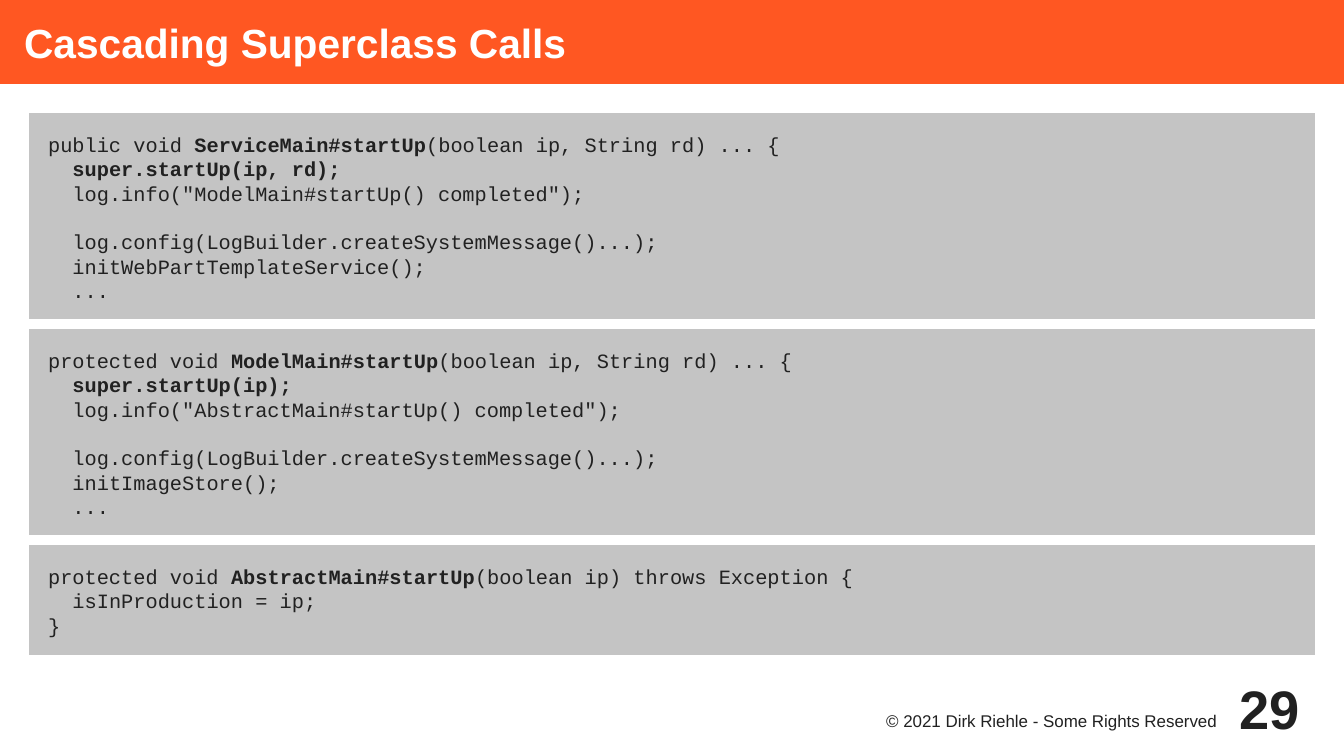
from pptx import Presentation
from pptx.dml.color import RGBColor
from pptx.enum.shapes import MSO_SHAPE as Shape
from pptx.enum.text import MSO_ANCHOR as Anchor, MSO_AUTO_SIZE as AutoSize, PP_ALIGN as Align
from pptx.util import Pt

INK = "212121"
LINE_HEIGHT = 14.4
INDENT = 14.4


def color(hex_code):
    return RGBColor.from_string(hex_code)


def write(frame, lines, size=12, font="Arial", ink=INK, bold=False, align=Align.LEFT,
          anchor=Anchor.TOP, margins=(0, 0, 0, 0), line_height=None):
    frame.word_wrap = True
    frame.auto_size = AutoSize.NONE
    frame.vertical_anchor = anchor
    (frame.margin_left, frame.margin_top,
     frame.margin_right, frame.margin_bottom) = map(Pt, margins)
    for number, (indent, gap, pieces) in enumerate(lines):
        paragraph = frame.add_paragraph() if number else frame.paragraphs[0]
        paragraph.alignment = align
        paragraph.space_before = Pt(gap)
        if line_height:
            paragraph.line_spacing = Pt(line_height)
        if indent:
            paragraph._p.get_or_add_pPr().set("marL", str(Pt(indent)))
        for position, piece in enumerate(pieces):
            run = paragraph.add_run()
            run.text = piece
            run.font.name = font
            run.font.size = Pt(size)
            run.font.bold = bold or position == 1
            run.font.color.rgb = color(ink)


deck = Presentation()
deck.slide_width, deck.slide_height = Pt(793.44), Pt(446.4)
slide = deck.slides.add_slide(deck.slide_layouts[5])

title = slide.shapes.title
title.left, title.top, title.width, title.height = 0, 0, deck.slide_width, Pt(49.6)
title.fill.solid()
title.fill.fore_color.rgb = color("FF5722")
write(title.text_frame, [(0, 0, ["Cascading Superclass Calls"])], size=24, ink="FFFFFF",
      bold=True, anchor=Anchor.MIDDLE, margins=(14.2, 0, 0, 0))

# Each line of code: indent, gap above, then plain, bold and plain pieces
methods = [
    (127.5, [
        (0, 0, ["public void ", "ServiceMain#startUp", "(boolean ip, String rd) ... {"]),
        (INDENT, 0, ["", "super.startUp(ip, rd);"]),
        (INDENT, 0, ['log.info("ModelMain#startUp() completed");']),
        (INDENT, LINE_HEIGHT, ["log.config(LogBuilder.createSystemMessage()...);"]),
        (INDENT, 0, ["initWebPartTemplateService();"]),
        (INDENT, 0, ["..."]),
    ]),
    (127.5, [
        (0, 0, ["protected void ", "ModelMain#startUp", "(boolean ip, String rd) ... {"]),
        (INDENT, 0, ["", "super.startUp(ip);"]),
        (INDENT, 0, ['log.info("AbstractMain#startUp() completed");']),
        (INDENT, LINE_HEIGHT, ["log.config(LogBuilder.createSystemMessage()...);"]),
        (INDENT, 0, ["initImageStore();"]),
        (INDENT, 0, ["..."]),
    ]),
    (70.8, [
        (0, 0, ["protected void ", "AbstractMain#startUp", "(boolean ip) throws Exception {"]),
        (INDENT, 0, ["isInProduction = ip;"]),
        (0, 0, ["}"]),
    ]),
]
top = 63.8
for height, code in methods:
    panel = slide.shapes.add_shape(Shape.RECTANGLE, Pt(14.2), Pt(top), Pt(765), Pt(height))
    panel.shadow.inherit = False
    panel.fill.solid()
    panel.fill.fore_color.rgb = color("C4C4C4")
    panel.line.color.rgb = color("FFFFFF")
    panel.line.width = Pt(5.67)
    write(panel.text_frame, code, font="Courier New", margins=(14.2, 14.2, 2.8, 2.8),
          line_height=LINE_HEIGHT)
    top += height

copyright_note = slide.shapes.add_textbox(Pt(510.2), Pt(418.1), Pt(227), Pt(21.3))
write(copyright_note.text_frame, [(0, 0, ["© 2021 Dirk Riehle - Some Rights Reserved"])],
      size=10, align=Align.RIGHT, margins=(0, 1.4, 19, 0))

page_number = slide.shapes.add_textbox(Pt(722.8), Pt(396.8), Pt(56.7), Pt(42.5))
write(page_number.text_frame, [(0, 0, ["29"])], size=32, bold=True, align=Align.RIGHT,
      anchor=Anchor.MIDDLE, margins=(0, 0, 12, 0))

deck.save("out.pptx")
